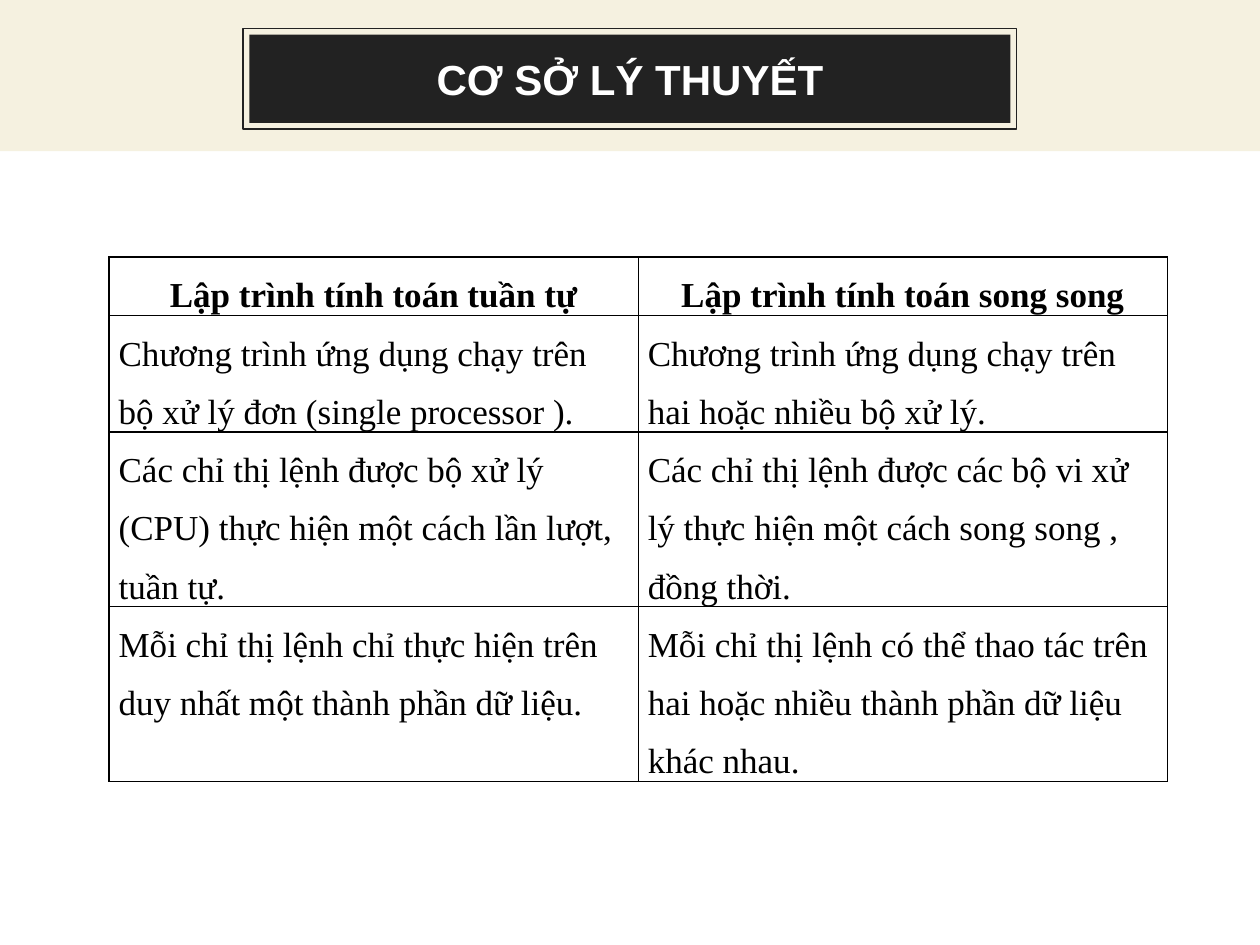
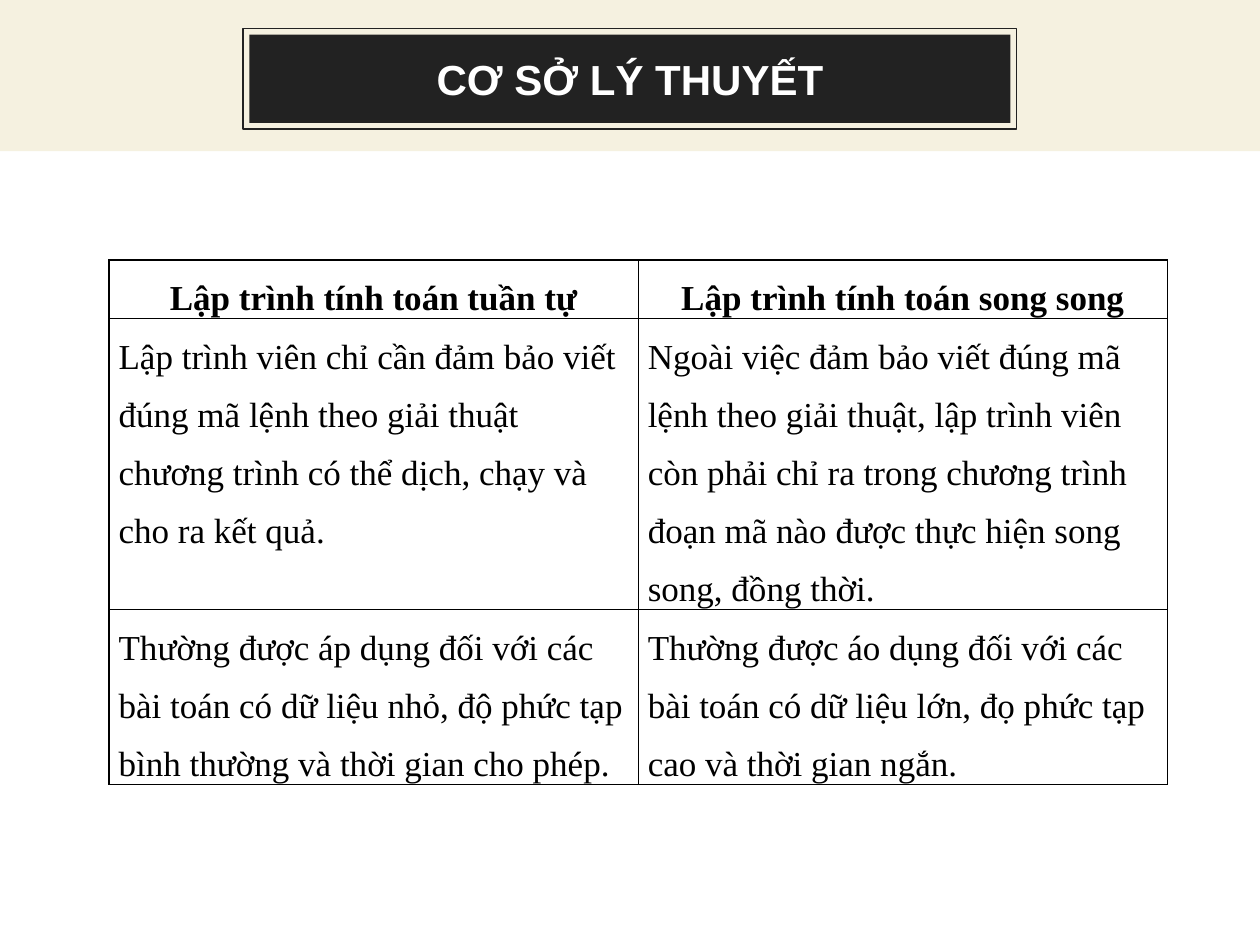
from dataclasses import dataclass

from lxml.etree import SubElement
from pptx import Presentation
from pptx.dml.color import RGBColor
from pptx.enum.shapes import MSO_SHAPE
from pptx.enum.text import MSO_ANCHOR, PP_ALIGN
from pptx.oxml.ns import qn
from pptx.util import Pt

TITLE = "CƠ SỞ LÝ THUYẾT"
HEADER = ("Lập trình tính toán tuần tự", "Lập trình tính toán song song")

# Each slide: table top, then rows of (minimum height, sequential, parallel)
COMPARISONS = [
    (146.9, [
        (55.4, "Chương trình ứng dụng chạy trên bộ xử lý đơn (single processor ).",
         "Chương trình ứng dụng chạy trên hai hoặc nhiều bộ xử lý."),
        (85, "Các chỉ thị lệnh được bộ xử lý (CPU) thực hiện một cách lần lượt, tuần tự.",
         "Các chỉ thị lệnh được các bộ vi xử lý thực hiện một cách song song , đồng thời."),
        (85, "Mỗi chỉ thị lệnh chỉ thực hiện trên duy nhất một thành phần dữ liệu.",
         "Mỗi chỉ thị lệnh có thể thao tác trên hai hoặc nhiều thành phần dữ liệu khác nhau."),
    ]),
    (148.6, [
        (114.5, "Lập trình viên chỉ cần đảm bảo viết đúng mã lệnh theo giải thuật "
         "chương trình có thể dịch, chạy và cho ra kết quả.",
         "Ngoài việc đảm bảo viết đúng mã lệnh theo giải thuật, lập trình viên còn phải "
         "chỉ ra trong chương trình đoạn mã nào được thực hiện song song, đồng thời."),
        (85, "Thường được áp dụng đối với các bài toán có dữ liệu nhỏ, độ phức tạp "
         "bình thường và thời gian cho phép.",
         "Thường được áo dụng đối với các bài toán có dữ liệu lớn, đọ phức tạp "
         "cao và thời gian ngắn."),
    ]),
]

PAGE_WIDTH, PAGE_HEIGHT = 720, 540
BAND_HEIGHT = 86.4
FRAME = (138.96, 16.4, 442.08, 57.4)
TITLE_BOX = (142.56, 19.8, 434.88, 50.4)
TABLE_LEFT, TABLE_WIDTH, TABLE_HEIGHT = 62.4, 604.8, 324
HEADER_HEIGHT = 26


@dataclass(frozen=True)
class Theme:
    cream: str = "F5F1E0"
    dark: str = "222222"
    white: str = "FFFFFF"
    black: str = "000000"
    title_font: str = "Arial"
    table_font: str = "Times New Roman"
    title_size: float = 24
    table_size: float = 20
    frame_line: float = 0.75
    border: float = 1
    title_inset: float = 7.2
    cell_inset: float = 5.4
    line_spacing: float = 1.5


THEME = Theme()


def rgb(color):
    return RGBColor.from_string(color)


def paint(shape, color):
    shape.fill.solid()
    shape.fill.fore_color.rgb = rgb(color)


def set_margins(holder, side, vertical):
    holder.margin_left = holder.margin_right = Pt(side)
    holder.margin_top = holder.margin_bottom = Pt(vertical)


def add_span(para, text, font, size, color, bold):
    span = para.add_run()
    span.text = text
    span.font.name = font
    span.font.size = Pt(size)
    span.font.bold = bold
    span.font.color.rgb = rgb(color)


def add_header_band(page, layout):
    """Draw the band and title frame, then move both behind the layout's placeholders."""
    band, frame = (
        page.shapes.add_shape(MSO_SHAPE.RECTANGLE, *map(Pt, bounds))
        for bounds in ((0, 0, PAGE_WIDTH, BAND_HEIGHT), FRAME)
    )
    paint(band, THEME.cream)
    band.line.fill.background()
    frame.fill.background()
    frame.line.color.rgb = rgb(THEME.dark)
    frame.line.width = Pt(THEME.frame_line)
    for position, shape in enumerate((band, frame), start=2):
        shape.shadow.inherit = False
        layout.shapes.element.insert(position, shape.element)


def write_title(page):
    title = page.shapes.title
    title.left, title.top, title.width, title.height = map(Pt, TITLE_BOX)
    paint(title, THEME.dark)
    box = title.text_frame
    box.word_wrap = True
    box.vertical_anchor = MSO_ANCHOR.MIDDLE
    set_margins(box, THEME.title_inset, THEME.title_inset)
    para = box.paragraphs[0]
    para.alignment = PP_ALIGN.CENTER
    add_span(para, TITLE, THEME.title_font, THEME.title_size, THEME.white, True)


def add_borders(cell):
    properties = cell._tc.get_or_add_tcPr()
    for position, side in enumerate(("a:lnL", "a:lnR", "a:lnT", "a:lnB")):
        line = SubElement(properties, qn(side), w=str(Pt(THEME.border)))
        SubElement(SubElement(line, qn("a:solidFill")), qn("a:srgbClr"), val=THEME.black)
        properties.insert(position, line)


def write_cell(cell, text, is_header):
    cell.fill.background()
    set_margins(cell, THEME.cell_inset, 0)
    add_borders(cell)
    para = cell.text_frame.paragraphs[0]
    para.alignment = PP_ALIGN.CENTER if is_header else PP_ALIGN.LEFT
    para.line_spacing = THEME.line_spacing
    add_span(para, text, THEME.table_font, THEME.table_size, THEME.black, is_header)


def add_comparison(page, top, body):
    rows = [(HEADER_HEIGHT, *HEADER), *body]
    holder = page.shapes.add_table(
        len(rows), len(HEADER),
        Pt(TABLE_LEFT), Pt(top), Pt(TABLE_WIDTH), Pt(TABLE_HEIGHT))
    table = holder.table
    table.first_row = table.horz_banding = False
    for row_index, (height, *texts) in enumerate(rows):
        table.rows[row_index].height = Pt(height)
        for column, text in enumerate(texts):
            write_cell(table.cell(row_index, column), text, row_index == 0)
    holder.height = Pt(TABLE_HEIGHT)


def main():
    deck = Presentation()
    deck.slide_width, deck.slide_height = Pt(PAGE_WIDTH), Pt(PAGE_HEIGHT)
    layout = deck.slide_layouts.get_by_name("Title Only")
    for index, (top, body) in enumerate(COMPARISONS):
        page = deck.slides.add_slide(layout)
        if index == 0:
            add_header_band(page, layout)
        write_title(page)
        add_comparison(page, top, body)
    deck.save("out.pptx")


if __name__ == "__main__":
    main()
